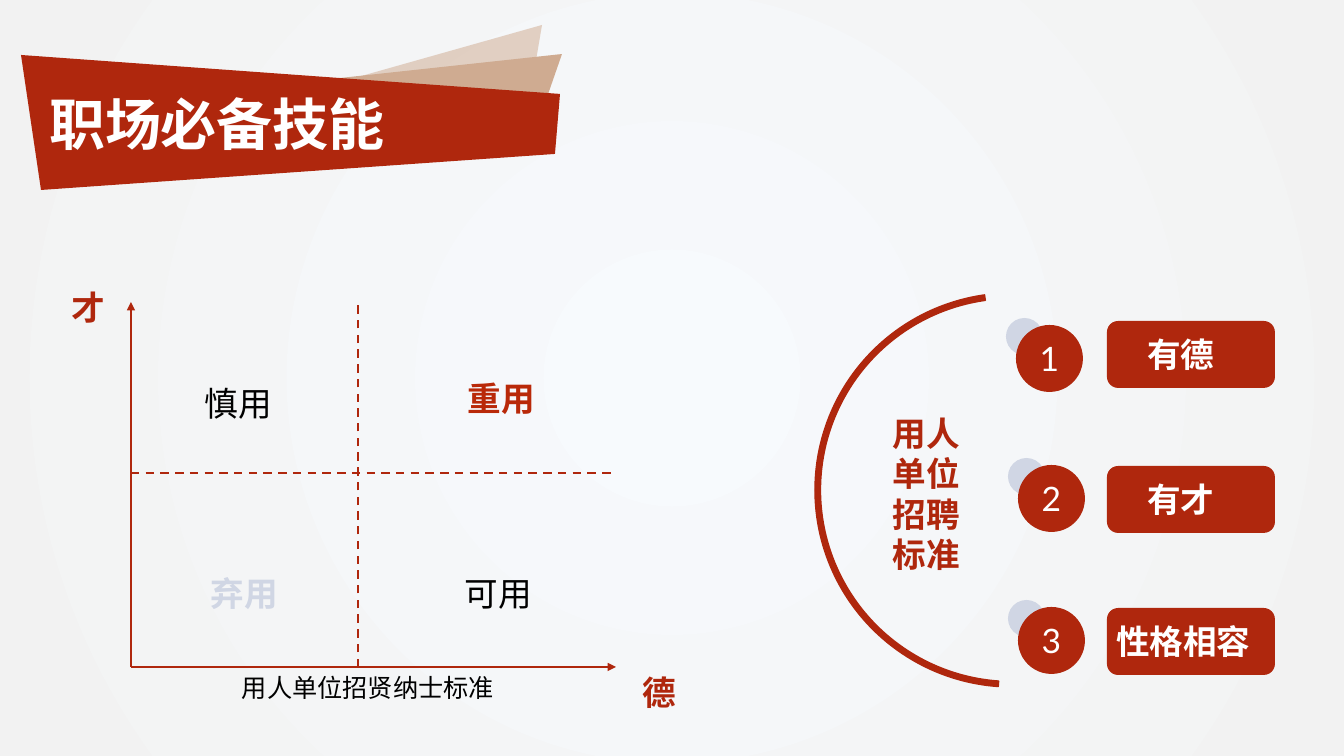
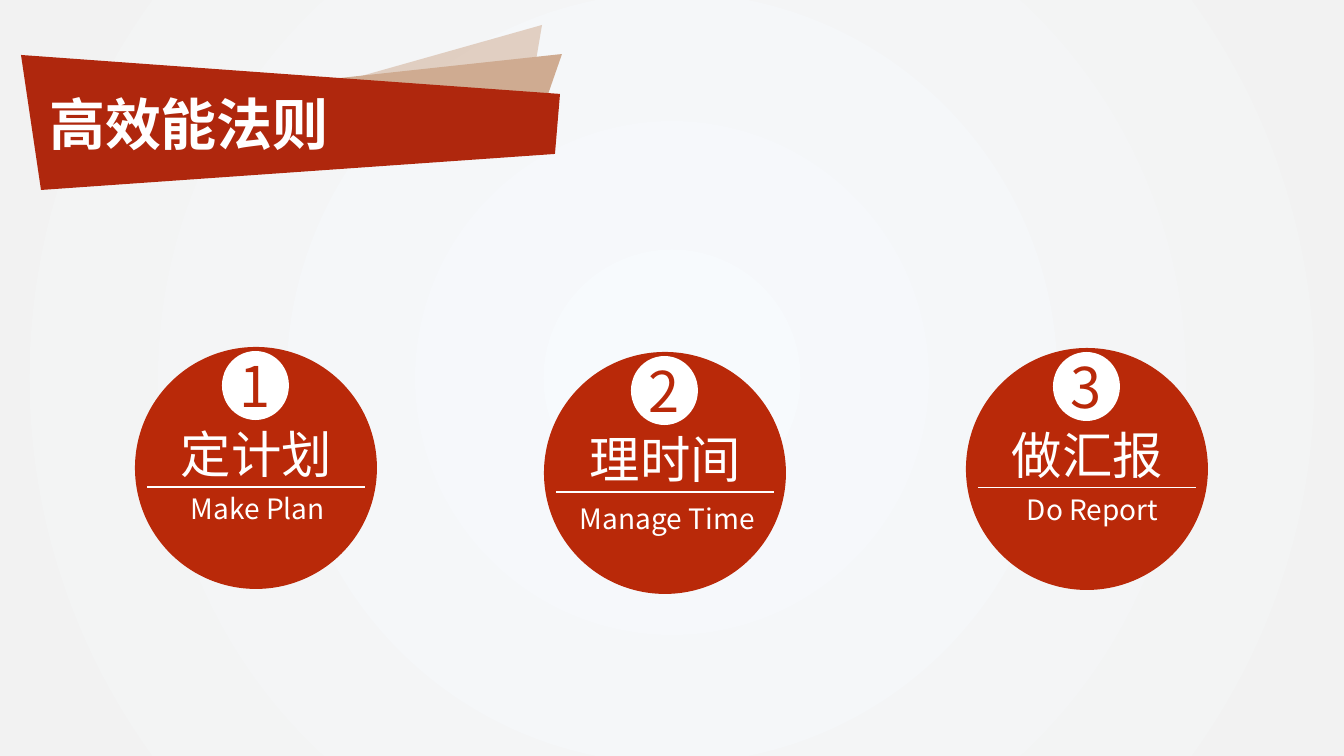
"""Build two slides on workplace skills: hiring criteria and rules for effectiveness."""
from lxml import etree
from pptx import Presentation
from pptx.dml.color import RGBColor
from pptx.enum.dml import MSO_LINE
from pptx.enum.shapes import MSO_CONNECTOR, MSO_SHAPE
from pptx.enum.text import MSO_ANCHOR, MSO_AUTO_SIZE, PP_ALIGN
from pptx.oxml.ns import qn
from pptx.util import Pt

OVAL, ROUND_RECT, ARC = MSO_SHAPE.OVAL, MSO_SHAPE.ROUNDED_RECTANGLE, MSO_SHAPE.BLOCK_ARC
LEFT, CENTER = PP_ALIGN.LEFT, PP_ALIGN.CENTER
TOP, MIDDLE = MSO_ANCHOR.TOP, MSO_ANCHOR.MIDDLE
STRAIGHT, DASH = MSO_CONNECTOR.STRAIGHT, MSO_LINE.DASH
PX = 9072


class Theme:
    red, bright, tan = "AF270D", "B92909", "CFAB91"
    pale, white, black = "D0D6E4", "FFFFFF", "000000"
    glow, edge = "F7FAFD", "F2F2F2"
    cjk, latin, digits = "Noto Sans CJK SC", "Calibri", "Lato"
    title, heading, body, caption, note = 40, 36, 24, 20, 18


def dress(sp, fill=None, text="", size=Theme.body, color=Theme.white, bold=False,
          font=Theme.cjk, align=LEFT, anchor=TOP, inset=None, wrap=True):
    if fill:
        sp.shadow.inherit = False
        sp.fill.solid()
        sp.fill.fore_color.rgb = RGBColor.from_string(fill)
        sp.line.fill.background()
    if text:
        tf = sp.text_frame
        tf.text = text
        tf.word_wrap, tf.auto_size, tf.vertical_anchor = wrap, MSO_AUTO_SIZE.NONE, anchor
        if inset is not None:
            tf.margin_left = inset * PX
            tf.margin_right = tf.margin_top = tf.margin_bottom = 0
        p = tf.paragraphs[0]
        p.alignment = align
        r = p.runs[0]
        r.font.size, r.font.bold = Pt(size), bold
        r.font.color.rgb = RGBColor.from_string(color)
        r.font.name = font
        etree.SubElement(r._r.get_or_add_rPr(), qn("a:ea"), typeface=Theme.cjk)
    return sp


def rule(s, x1, y1, x2, y2, color, width, dashed=False, arrow=False):
    cx = s.shapes.add_connector(STRAIGHT, x1 * PX, y1 * PX, x2 * PX, y2 * PX)
    cx.line.color.rgb = RGBColor.from_string(color)
    cx.line.width = Pt(width)
    if dashed:
        cx.line.dash_style = DASH
    if arrow:
        etree.SubElement(cx.line._get_or_add_ln(), qn("a:tailEnd"), type="triangle")
    etree.SubElement(cx.element.spPr, qn("a:effectLst"))


prs = Presentation()
prs.slide_width, prs.slide_height = 1344 * PX, 756 * PX

fill = prs.slide_master.background.fill
fill.gradient()
for stop, color in zip(fill.gradient_stops, (Theme.glow, Theme.edge)):
    stop.color.rgb = RGBColor.from_string(color)
grad = prs.slide_master.element.find(".//" + qn("a:gradFill"))
grad.remove(grad.find(qn("a:lin")))
radial = etree.SubElement(grad, qn("a:path"), {"path": "circle"})
etree.SubElement(radial, qn("a:fillToRect"), l="50000", t="50000", r="50000", b="50000")

layout = prs.slide_layouts[5]
skills, rules = [prs.slides.add_slide(layout) for _ in range(2)]

BANNER = [
    (Theme.tan, 52, [(103, 149), (542, 25), (524, 131), (137, 183)]),
    (Theme.tan, 100, [(109, 103), (562, 54), (527, 155), (137, 143)]),
    (Theme.red, 100, [(21, 55), (560, 94), (555, 154), (41, 190)]),
]
for i, (color, opacity, points) in enumerate(BANNER):
    fb = skills.shapes.build_freeform(*points[0], scale=PX)
    fb.add_line_segments(points[1:], close=True)
    sp = dress(fb.convert_to_shape(), color)
    if opacity < 100:
        etree.SubElement(sp.element.find(".//" + qn("a:srgbClr")), qn("a:alpha"), val=str(opacity * 1000))
    layout.element.cSld.spTree.insert(2 + i, sp.element)

for s, text in ((skills, "职场必备技能"), (rules, "高效能法则")):
    title = s.shapes.title
    title.left, title.top, title.width, title.height = 39 * PX, 54 * PX, 537 * PX, 146 * PX
    dress(title, None, text, Theme.title, bold=True, font=Theme.latin, anchor=MIDDLE)
    title.text_frame.paragraphs[0].line_spacing = 0.9

s = skills
x0, y0, x1, y1 = 131, 667, 616, 302
rule(s, x0, y0, x1, y0, Theme.red, 1.5, arrow=True)
rule(s, x0, y0, x0, y1, Theme.red, 1.5, arrow=True)
rule(s, x0, 473, x1, 473, Theme.red, 1.5, dashed=True)
rule(s, 358, y0, 358, y1, Theme.red, 1.5, dashed=True)

LABELS = [
    ("德", 633, 667, 69, 50, Theme.body, Theme.red, True),
    ("才", 62, 282, 69, 50, Theme.body, Theme.red, True),
    ("重用", 458, 373, 94, 50, Theme.body, Theme.bright, True),
    ("可用", 455, 568, 130, 50, Theme.body, Theme.black, False),
    ("慎用", 195, 378, 130, 50, Theme.body, Theme.black, False),
    ("弃用", 201, 568, 130, 50, Theme.body, Theme.pale, True),
    ("用人单位招贤纳士标准", 232, 667, 384, 40, Theme.note, Theme.black, False),
    ("用人单位招聘标准", 883, 408, 93, 173, Theme.body, Theme.red, True),
]
for text, x, y, w, h, size, color, bold in LABELS:
    dress(s.shapes.add_textbox(x * PX, y * PX, w * PX, h * PX), None, text, size, color, bold)

CRITERIA = [("有德", 37, 321, 1006, 318), ("有才", 37, 466, 1008, 458), ("性格相容", 6, 608, 1008, 600)]
for n, (text, inset, y, dot_x, dot_y) in enumerate(CRITERIA, 1):
    dress(s.shapes.add_shape(ROUND_RECT, 1107 * PX, y * PX, 168 * PX, 67 * PX),
          Theme.red, text, bold=True, anchor=MIDDLE, inset=inset)
    dress(s.shapes.add_shape(OVAL, dot_x * PX, dot_y * PX, 37 * PX, 37 * PX), Theme.pale)
    dress(s.shapes.add_shape(OVAL, (dot_x + 10) * PX, (dot_y + 7) * PX, 67 * PX, 67 * PX),
          Theme.red, str(n), font=Theme.digits, align=CENTER, anchor=MIDDLE, inset=0)

size = 394
arc = dress(s.shapes.add_shape(ARC, 815 * PX, 293 * PX, size * PX, size * PX), Theme.red)
arc.rotation = 274
for i, value in enumerate((108, 208.8, 5.5 / size)):
    arc.adjustments[i] = value
arc.line.color.rgb = RGBColor.from_string(Theme.red)
arc.line.width = Pt(1)

s = rules
RULES = [
    ("定计划", "Make Plan", 135, 347, 46, 140),
    ("理时间", "Manage Time", 544, 352, 26, 145),
    ("做汇报", "Do Report", 966, 348, 51, 140),
]
for n, (heading, caption, x, y, dx, dy) in enumerate(RULES, 1):
    dress(s.shapes.add_shape(OVAL, x * PX, y * PX, 242 * PX, 242 * PX), Theme.bright)
    dress(s.shapes.add_shape(OVAL, (x + 87) * PX, (y + 4) * PX, 67 * PX, 69 * PX), Theme.white,
          str(n), Theme.title, Theme.bright, align=CENTER, anchor=MIDDLE, inset=0, wrap=False)
    dress(s.shapes.add_textbox((x + dx) * PX, (y + dy) * PX, 206 * PX, 44 * PX),
          None, caption, Theme.caption)
    dress(s.shapes.add_textbox((x + 5) * PX, (y + 71) * PX, 233 * PX, 72 * PX),
          None, heading, Theme.heading, align=CENTER)
    rule(s, x + 12, y + 140, x + 230, y + 140, Theme.white, 0.75)

prs.save("out.pptx")
